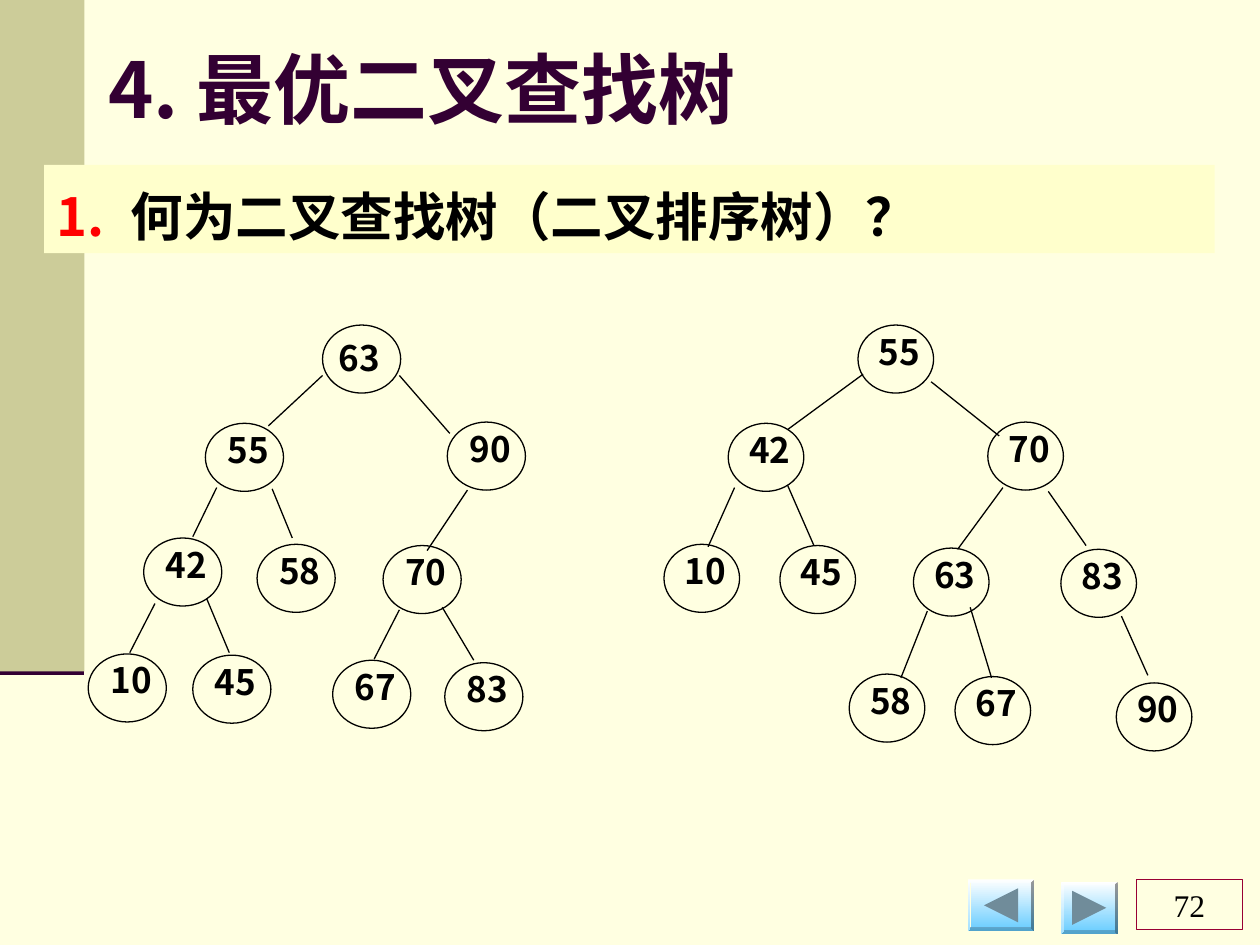
from lxml.etree import SubElement
from pptx import Presentation
from pptx.dml.color import RGBColor
from pptx.enum.shapes import MSO_CONNECTOR as CONNECTOR, MSO_SHAPE as SHAPE
from pptx.enum.text import MSO_ANCHOR as ANCHOR, PP_ALIGN as ALIGN
from pptx.oxml.ns import qn
from pptx.util import Inches, Pt

COLORS = {
    "background": "FFFFE1", "band": "CCCC99", "purple": "330033",
    "panel": "FFFFCC", "black": "000000", "red": "FF0000",
    "frame": "990033", "white": "FFFFFF", "sky": "66CCFF", "arrow": "708C9A",
}
CJK = "Noto Sans CJK SC"
NODE_HEIGHT = 0.54

# Each node: value, circle left, circle top, edge from its parent
LEFT_TREE = [
    (63, 2.56, 2.58, None),
    (55, 1.63, 3.36, (2.56, 2.98, 2.13, 3.38)),
    (90, 3.55, 3.35, (3.17, 2.98, 3.57, 3.44)),
    (42, 1.14, 4.27, (1.72, 3.87, 1.53, 4.26)),
    (58, 2.04, 4.32, (2.16, 3.88, 2.32, 4.27)),
    (70, 3.04, 4.33, (3.71, 3.89, 3.39, 4.37)),
    (10, 0.70, 5.19, (1.23, 4.79, 1.03, 5.18)),
    (45, 1.53, 5.20, (1.64, 4.75, 1.82, 5.18)),
    (67, 2.64, 5.24, (3.17, 4.84, 2.97, 5.23)),
    (83, 3.53, 5.26, (3.51, 4.82, 3.76, 5.24)),
]
RIGHT_TREE = [
    (55, 6.81, 2.58, None),
    (42, 5.78, 3.36, (6.85, 2.97, 6.25, 3.41)),
    (70, 7.84, 3.35, (7.39, 3.03, 7.93, 3.46)),
    (10, 5.27, 4.32, (5.83, 3.87, 5.62, 4.34)),
    (45, 6.19, 4.33, (6.25, 3.85, 6.46, 4.33)),
    (63, 7.25, 4.35, (7.96, 3.87, 7.60, 4.36)),
    (83, 8.42, 4.36, (8.32, 3.90, 8.62, 4.33)),
    (58, 6.74, 5.35, (7.36, 4.85, 7.15, 5.38)),
    (67, 7.58, 5.37, (7.70, 4.82, 7.87, 5.38)),
    (90, 8.86, 5.42, (8.90, 4.89, 9.11, 5.36)),
]


def rgb(name):
    return RGBColor.from_string(COLORS[name])


def write(shape, text, size=20, font=CJK, color="black", bold=True, align=ALIGN.CENTER,
          anchor=ANCHOR.TOP, insets=(0.1, 0.05, 0.1, 0.05), number_color=None, spacing=None):
    frame = shape.text_frame
    frame.word_wrap = True
    frame.vertical_anchor = anchor
    frame.margin_left, frame.margin_top, frame.margin_right, frame.margin_bottom = map(Inches, insets)
    paragraph = frame.paragraphs[0]
    paragraph.alignment = align
    if spacing:
        paragraph.line_spacing = spacing
    if number_color:
        properties = paragraph._p.get_or_add_pPr()
        properties.set("marL", str(Inches(0.59)))
        properties.set("indent", str(Inches(-0.59)))
        bullet_color = SubElement(properties, qn("a:buClr"))
        SubElement(bullet_color, qn("a:srgbClr"), val=COLORS[number_color])
        SubElement(properties, qn("a:buFont"), typeface=font)
        SubElement(properties, qn("a:buAutoNum"), type="arabicPeriod")
    run = paragraph.add_run()
    run.text = text
    run.font.size = Pt(size)
    run.font.bold = bold
    run.font.name = font
    run.font.color.rgb = rgb(color)
    SubElement(run._r.get_or_add_rPr(), qn("a:ea"), typeface=font)


class SlideBuilder:
    """Hold the slide style and draw each kind of element."""

    def __init__(self, presentation):
        self.slide = presentation.slides.add_slide(presentation.slide_layouts[6])
        self.shapes = self.slide.shapes
        fill = self.slide.background.fill
        fill.solid()
        fill.fore_color.rgb = rgb("background")

    def shape(self, kind, box, fill=None, line=None):
        shape = self.shapes.add_shape(kind, *map(Inches, box))
        shape.shadow.inherit = False
        if fill:
            shape.fill.solid()
            shape.fill.fore_color.rgb = rgb(fill)
        else:
            shape.fill.background()
        if line:
            shape.line.color.rgb = rgb(line)
            shape.line.width = Pt(0.75)
        else:
            shape.line.fill.background()
        return shape

    def text(self, text, box, **style):
        write(self.shapes.add_textbox(*map(Inches, box)), text, **style)

    def line(self, ends, color="black", width=0.75):
        connector = self.shapes.add_connector(CONNECTOR.STRAIGHT, *map(Inches, ends))
        connector.line.color.rgb = rgb(color)
        connector.line.width = Pt(width)
        SubElement(connector._element.spPr, qn("a:effectLst"))

    def tree(self, nodes, node_width, root_text=(0.08, -0.08, 0.12)):
        self.shapes = self.slide.shapes.add_group_shape().shapes
        for value, left, top, edge in nodes:
            shift_x, shift_y, inset = (0.08, -0.08, 0.12) if edge else root_text
            self.text(str(value), (left + shift_x, top + shift_y, node_width - 0.1, 0.63),
                      insets=(0.02, inset, 0.02, 0.01))
            self.shape(SHAPE.OVAL, (left, top, node_width, NODE_HEIGHT), line="black")
            if edge:
                self.line(edge)
        self.shapes = self.slide.shapes

    def button(self, box, rotation):
        left, top, width, height = box
        bevel = self.shape(SHAPE.BEVEL, box)
        bevel.adjustments[0] = 0.06
        bevel.fill.gradient()
        bevel.fill.gradient_angle = 270
        for stop, color in zip(bevel.fill.gradient_stops, ("white", "sky")):
            stop.color.rgb = rgb(color)
        side = 0.27
        arrow_box = (left + (width - side) / 2, top + (height - side) / 2, side, side)
        self.shape(SHAPE.ISOSCELES_TRIANGLE, arrow_box, fill="arrow").rotation = rotation


def main():
    presentation = Presentation()
    presentation.slide_width, presentation.slide_height = Inches(10), Inches(7.5)
    builder = SlideBuilder(presentation)

    builder.line((0, 5.33, 0.67, 5.33), color="purple", width=3.5)
    builder.shape(SHAPE.RECTANGLE, (0, 0, 0.67, 5.33), fill="band")
    builder.button((7.68, 6.98, 0.53, 0.41), 270)
    builder.button((8.42, 7, 0.45, 0.41), 90)
    page = builder.shape(SHAPE.RECTANGLE, (9.02, 6.98, 0.84, 0.4), line="frame")
    write(page, "72", size=18, font="Times New Roman", bold=False, anchor=ANCHOR.MIDDLE)

    builder.text("4. 最优二叉查找树", (0.35, 0.28, 6, 0.84), size=44, color="purple")
    heading = builder.shape(SHAPE.RECTANGLE, (0.35, 1.31, 9.29, 0.7), fill="panel")
    write(heading, "何为二叉查找树（二叉排序树）？", size=30, align=ALIGN.JUSTIFY,
          number_color="red", spacing=1.2)

    builder.tree(LEFT_TREE, 0.62, root_text=(0.03, 0.08, 0.01))
    builder.tree(RIGHT_TREE, 0.6)
    presentation.save("out.pptx")


if __name__ == "__main__":
    main()
